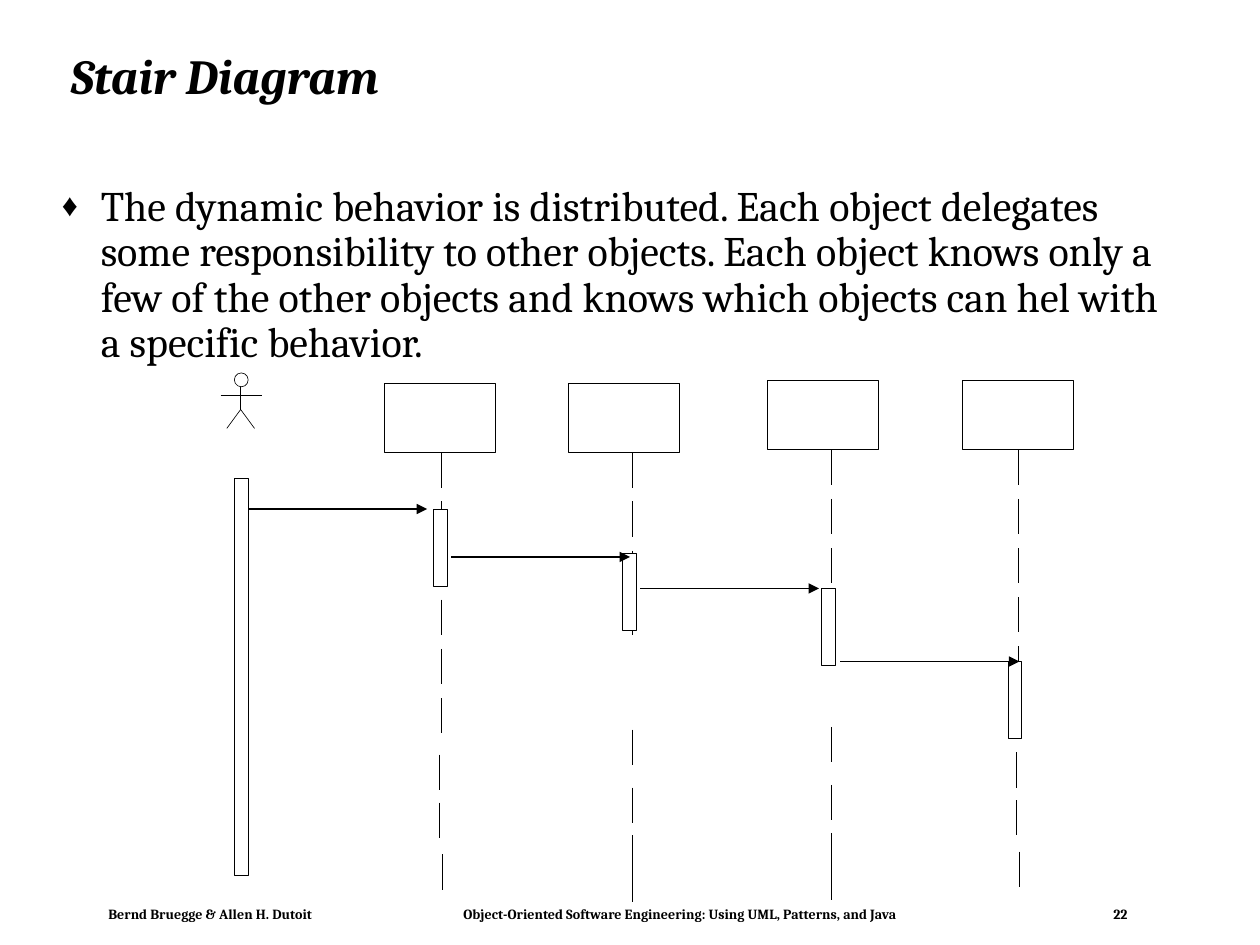
from dataclasses import dataclass

from lxml.etree import SubElement
from pptx import Presentation
from pptx.dml.color import RGBColor
from pptx.enum.shapes import MSO_CONNECTOR, MSO_SHAPE
from pptx.enum.text import MSO_ANCHOR, MSO_AUTO_SIZE, PP_ALIGN
from pptx.oxml.ns import qn
from pptx.util import Inches, Pt


@dataclass(frozen=True)
class Theme:
    font: str = "Cambria"
    ink: RGBColor = RGBColor(0, 0, 0)
    paper: RGBColor = RGBColor(255, 255, 255)
    title_size: int = 28
    body_size: int = 24
    footer_size: int = 8
    thin: float = 0.38
    bold: float = 1


@dataclass(frozen=True)
class Lifeline:
    """One object: its box, dashed axis and activation bar, in grid units."""
    box_left: float
    box_top: float
    axis: float
    upper_dashes: int
    lower_dashes: tuple  # (distance below the box top, sideways shift)
    bar_left: float
    bar_top: float


THEME = Theme()
COLUMNS, ROWS = 100, 75
CELL = Inches(10) / COLUMNS
BOX_WIDTH, BOX_HEIGHT = 8.8, 5.5
BAR_WIDTH, BAR_HEIGHT = 1.1, 6.1
DASH, DASH_PITCH = 2.8, 3.9
MESSAGE_LENGTH = 14.2

OUTER_DASHES = ((29.5, -0.1), (33.3, -0.1), (37.4, 0.1))
INNER_DASHES = ((27.5, 0), (32.1, 0), (35.9, 0), (38.4, 0))
LIFELINES = (
    Lifeline(30.5, 30.4, 35, 6, OUTER_DASHES, 34.4, 40.4),
    Lifeline(45.1, 30.4, 50.2, 4, INNER_DASHES, 49.4, 43.9),
    Lifeline(60.9, 30.2, 66, 3, INNER_DASHES, 65.2, 46.7),
    Lifeline(76.4, 30.2, 80.8, 5, OUTER_DASHES, 80, 52.5),
)
MESSAGE_STARTS = ((19.7, 40.4), (35.8, 44.2), (50.8, 46.7), (66.7, 52.5))

TITLE = "Stair Diagram"
BODY = ("The dynamic behavior is distributed. Each object delegates some "
        "responsibility to other objects. Each object knows only a few of the "
        "other objects and knows which objects can hel with a specific behavior.")
FOOTER = ("Bernd Bruegge & Allen H. Dutoit",
          "Object-Oriented Software Engineering: Using UML, Patterns, and Java",
          "22")


def grid(*units):
    return [round(unit * CELL) for unit in units]


def place(shape, left, top, width, height):
    shape.left, shape.top, shape.width, shape.height = grid(left, top, width, height)


def add_run(paragraph, text, size, bold=False, italic=False):
    run = paragraph.add_run()
    run.text = text
    font = run.font
    font.name, font.size, font.bold, font.italic = THEME.font, Pt(size), bold, italic
    font.color.rgb = THEME.ink


def fill_placeholder(shape, anchor):
    """Prepare a placeholder and return its first paragraph."""
    frame = shape.text_frame
    frame.auto_size = MSO_AUTO_SIZE.NONE
    frame.vertical_anchor = anchor
    paragraph = frame.paragraphs[0]
    paragraph.alignment = PP_ALIGN.LEFT
    paragraph.line_spacing = 0.9
    paragraph.space_before = Pt(0)
    return paragraph


def add_diamond_bullet(paragraph):
    properties = paragraph._p.get_or_add_pPr()
    properties.set("marL", str(Inches(0.31)))
    properties.set("indent", str(-Inches(0.31)))
    color = SubElement(properties, qn("a:buClr"))
    SubElement(color, qn("a:srgbClr"), val=str(THEME.ink))
    SubElement(properties, qn("a:buSzPct"), val="75000")
    SubElement(properties, qn("a:buChar"), char="♦")


def add_title(slide):
    title = slide.shapes.title
    place(title, 4.6, 2.4, 89.2, 7.7)
    paragraph = fill_placeholder(title, MSO_ANCHOR.MIDDLE)
    add_run(paragraph, TITLE, THEME.title_size, bold=True, italic=True)


def add_body(slide):
    body = slide.placeholders[1]
    place(body, 3.9, 14.2, 90.3, 16.7)
    paragraph = fill_placeholder(body, MSO_ANCHOR.TOP)
    add_diamond_bullet(paragraph)
    add_run(paragraph, BODY, THEME.body_size)


def add_footer(slide):
    """One line with its parts at the left, centre and right."""
    box = slide.shapes.add_textbox(*grid(7.8, 71.5, 82.7, 2.1))
    frame = box.text_frame
    frame.word_wrap = True
    frame.margin_left = frame.margin_right = Inches(0.08)
    frame.margin_top = frame.margin_bottom = Inches(0.04)
    paragraph = frame.paragraphs[0]
    tabs = SubElement(paragraph._p.get_or_add_pPr(), qn("a:tabLst"))
    for column, alignment in ((45.4, "ctr"), (80.9, "r")):
        SubElement(tabs, qn("a:tab"), pos=str(grid(column)[0]), algn=alignment)
    add_run(paragraph, "\t".join(FOOTER), THEME.footer_size, bold=True)


def outline(shape, filled=True):
    shape.shadow.inherit = False
    if filled:
        shape.fill.solid()
        shape.fill.fore_color.rgb = THEME.paper
    else:
        shape.fill.background()
    shape.line.color.rgb = THEME.ink
    shape.line.width = Pt(THEME.thin)


def add_outlined(slide, kind, left, top, width, height):
    outline(slide.shapes.add_shape(kind, *grid(left, top, width, height)))


def add_line(slide, start, end, width=THEME.thin, arrow=False):
    connector = slide.shapes.add_connector(MSO_CONNECTOR.STRAIGHT, *grid(*start, *end))
    connector.line.color.rgb = THEME.ink
    connector.line.width = Pt(width)
    if arrow:
        SubElement(connector.line._get_or_add_ln(), qn("a:tailEnd"), type="triangle")
    SubElement(connector._element.spPr, qn("a:effectLst"))


def add_actor(slide):
    add_outlined(slide, MSO_SHAPE.OVAL, 18.6, 29.6, 1.1, 1.1)
    add_line(slide, (17.5, 31.4), (20.8, 31.4))
    add_line(slide, (19.1, 30.7), (19.1, 32.5))
    legs = slide.shapes.build_freeform(*grid(18, 34))
    legs.add_line_segments([grid(19.1, 32.5), grid(20.2, 34)], close=False)
    outline(legs.convert_to_shape(), filled=False)
    add_outlined(slide, MSO_SHAPE.RECTANGLE, 18.6, 38, BAR_WIDTH, 31.5)


def add_lifeline(slide, lifeline):
    top = lifeline.box_top
    add_outlined(slide, MSO_SHAPE.RECTANGLE, lifeline.box_left, top,
                 BOX_WIDTH, BOX_HEIGHT)
    upper = [(BOX_HEIGHT + index * DASH_PITCH, 0)
             for index in range(lifeline.upper_dashes)]
    for offset, shift in (*upper, *lifeline.lower_dashes):
        x, y = lifeline.axis + shift, top + offset
        add_line(slide, (x, y), (x, y + DASH))
    add_outlined(slide, MSO_SHAPE.RECTANGLE, lifeline.bar_left, lifeline.bar_top,
                 BAR_WIDTH, BAR_HEIGHT)


def main():
    presentation = Presentation()
    presentation.slide_width, presentation.slide_height = grid(COLUMNS, ROWS)
    slide = presentation.slides.add_slide(presentation.slide_layouts[1])
    add_footer(slide)
    add_title(slide)
    add_body(slide)
    add_actor(slide)
    for lifeline in LIFELINES:
        add_lifeline(slide, lifeline)
    for x, y in MESSAGE_STARTS:
        add_line(slide, (x, y), (x + MESSAGE_LENGTH, y), THEME.bold, arrow=True)
    presentation.save("out.pptx")


if __name__ == "__main__":
    main()
